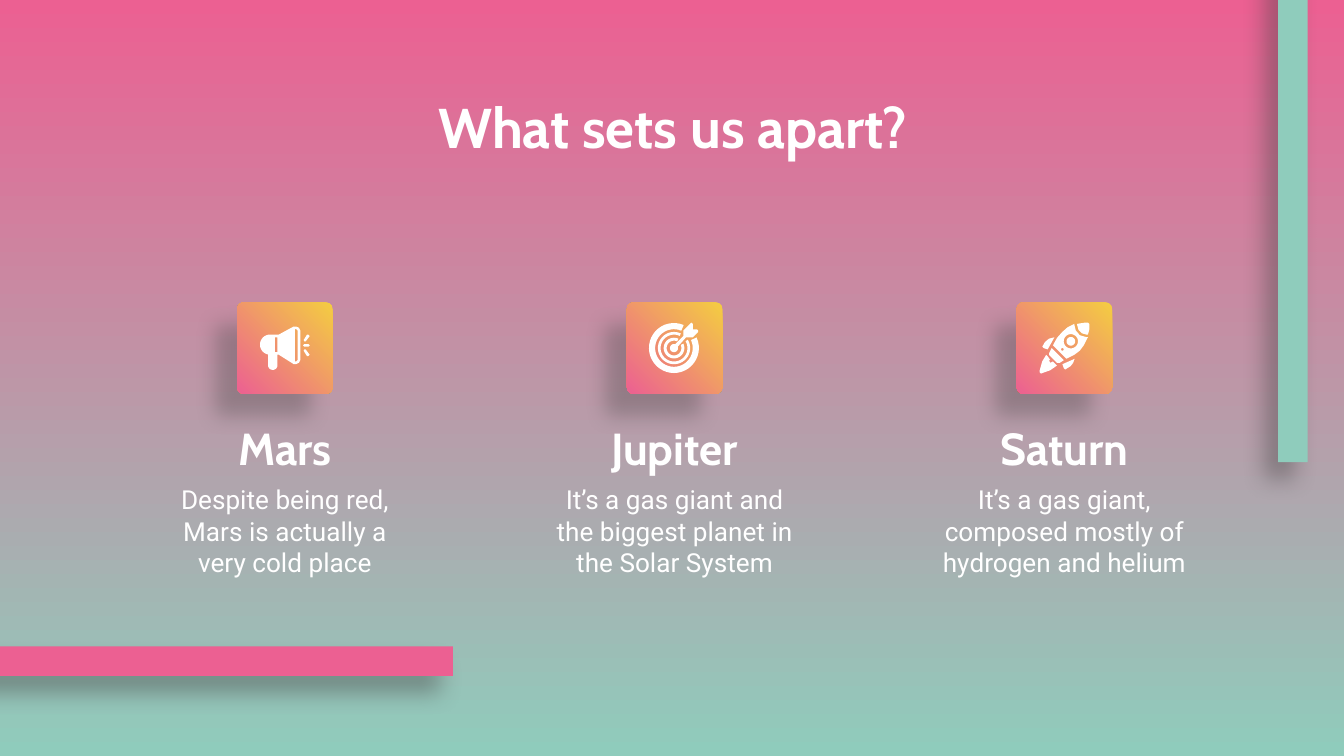
from dataclasses import dataclass
from math import cos, radians, sin

from lxml import etree
from pptx import Presentation
from pptx.dml.color import RGBColor
from pptx.enum.shapes import MSO_SHAPE
from pptx.enum.text import MSO_ANCHOR, MSO_AUTO_SIZE, PP_ALIGN
from pptx.oxml.ns import qn
from pptx.util import Inches, Pt

RECT, ROUND = MSO_SHAPE.RECTANGLE, MSO_SHAPE.ROUNDED_RECTANGLE
TOP, CENTER, FIXED = MSO_ANCHOR.TOP, PP_ALIGN.CENTER, MSO_AUTO_SIZE.NONE

COLORS = {"pink": "EC6092", "mint": "8FCCBC", "gold": "F4CD41",
          "white": "FFFFFF", "shade": "434343"}
HEAD, BODY = "Cabin", "Roboto"

# Grid: three columns around a middle one, three rows, on a 16:9 slide
WIDE = 10
HIGH = WIDE * 9 / 16
MID, STEP = 5.02, 2.9
TILE_W, TILE_H, TEXT_W = 0.71, 0.68, 2.03
TILE_Y, NAME_Y, NOTE_Y = 2.25, 3.03, 3.5

Loop = list[tuple[float, float]]
Part = list[Loop]  # an outline, then its holes


@dataclass
class Shade:
    alpha: int
    blur: float
    dist: float
    angle: int


@dataclass
class Bar:
    box: tuple[float, float, float, float]
    color: str


@dataclass
class Planet:
    name: str
    note: str
    icon: list[Part]


def arc(x: float, y: float, r: float, start: int = 0, end: int = 360) -> Loop:
    """Points along a circle, in hundredths of an inch."""
    n = 36
    turns = [radians(start + (end - start) * i / n) for i in range(n + 1)]
    return [(x + r * cos(t), y + r * sin(t)) for t in turns]


def band(outer: float, inner: float, start: int, end: int) -> Part:
    """Open ring of the target."""
    return [arc(35, 34, outer, start, end) + arc(35, 34, inner, end, start)]


# Icons, in hundredths of an inch from the tile's corner
def horn() -> list[Part]:
    ray = [(53, 24), (54, 25), (51, 29), (50, 29), (49.5, 28), (52, 24)]
    body = ([(42, 18), (31, 24)] + arc(24.5, 31.5, 7.5, 270, 90)
            + [(23, 39), (23, 47)] + arc(26.5, 46.8, 3.5, 180, 0)
            + [(30, 39), (31, 39), (42, 46), (44, 46), (46, 45), (47, 43),
               (47, 21), (46, 19), (44, 18)])
    slot = [(30, 26), (30, 37), (28, 37), (28, 26)]
    rim = [(43, 20), (44, 20), (45, 21), (45, 43), (44, 44), (43, 44)]
    return [[[(50, 31), (53, 31), (54, 32), (53, 33), (50, 33), (49, 32)]],
            [ray], [[(x, 64 - y) for x, y in ray]], [body, slot, rim]]


def target() -> list[Part]:
    dart = ([(48, 15), (47, 16), (42, 21), (42, 25), (36, 31)]
            + arc(35, 34, 3, 290, -20)
            + [(44, 26), (48, 26), (49, 26), (53, 22), (53, 21), (52, 20),
               (49, 20), (49, 16)])
    return [band(12, 10, -31, 295), band(7.7, 5.5, -25, 295),
            band(18.6, 14, -25, 293), [dart]]


def rocket() -> list[Part]:
    hull = [(43, 16), (38, 18.5), (34, 22), (30, 26.5), (27, 32), (37, 42),
            (43, 39), (47, 36), (50, 32), (53, 26), (52, 26), (47, 24.5),
            (44, 21), (43, 17)]
    nose = [(51, 15), (45, 16), (45, 17), (46, 20.5), (48.5, 23), (52, 24),
            (53, 24), (54, 20), (54, 16), (53, 15)]
    base = [(26, 34), (24, 38), (24, 39), (30, 45), (32, 45), (35, 43)]
    low = [(43, 42), (34, 46), (35, 49), (36, 50), (40, 47.5), (42, 45)]
    left = [(28, 26), (24, 27), (21, 29.5), (19, 33), (20, 34), (23, 35)]
    flame = [(22, 39), (19, 44), (17, 51), (17, 52), (18, 53), (25, 50.5),
             (30, 47), (27, 44), (25, 45), (24, 43), (25, 43), (23, 40)]
    return [[hull, arc(40.3, 29, 5.3), arc(34, 35, 1)], [nose],
            [arc(40.3, 29, 3.2)], [base], [low], [left], [flame]]


def rgb(key: str) -> RGBColor:
    return RGBColor.from_string(COLORS[key])


def blend(fill, first: str, last: str, angle: int) -> None:
    fill.gradient()
    fill.gradient_angle = angle
    for stop, key in zip(fill.gradient_stops, (first, last)):
        stop.color.rgb = rgb(key)


def plain(shape, color: str) -> None:
    shape.shadow.inherit = False
    shape.fill.solid()
    shape.fill.fore_color.rgb = rgb(color)
    shape.line.fill.background()


def cast(shape, shade: Shade) -> None:
    """Put a soft shadow on a plain shape."""
    root = shape._element.spPr.find(qn("a:effectLst"))
    drop = etree.SubElement(
        root, qn("a:outerShdw"), blurRad=str(Pt(shade.blur)),
        dist=str(Pt(shade.dist)), dir=str(shade.angle * 60000),
        algn="bl", rotWithShape="0")
    tint = etree.SubElement(drop, qn("a:srgbClr"), val=COLORS["shade"])
    etree.SubElement(tint, qn("a:alpha"), val=str(shade.alpha * 1000))


def write(box, text: str, font: str, size: int, bold: bool) -> None:
    frame = box.text_frame
    frame.text = text
    frame.word_wrap, frame.auto_size = True, FIXED
    frame.vertical_anchor = TOP
    frame.margin_left = frame.margin_right = Inches(0.1)
    frame.margin_top = frame.margin_bottom = Inches(0.1)
    para = frame.paragraphs[0]
    para.alignment = CENTER
    para.font.name, para.font.size, para.font.bold = font, Pt(size), bold
    para.font.color.rgb = rgb("white")


def draw_icon(slide, icon: list[Part], left: float, top: float) -> None:
    group = slide.shapes.add_group_shape()
    for part in icon:
        loops = [[(Inches(left + x / 100), Inches(top + y / 100))
                  for x, y in loop] for loop in part]
        pen = group.shapes.build_freeform(*loops[0][0])
        for i, loop in enumerate(loops):
            if i:
                pen.move_to(*loop[0])
            pen.add_line_segments(loop[1:], close=True)
        plain(pen.convert_to_shape(), "white")


def draw_planet(slide, planet: Planet, mid: float) -> None:
    left = mid - TILE_W / 2
    tile = slide.shapes.add_shape(ROUND, Inches(left), Inches(TILE_Y),
                                  Inches(TILE_W), Inches(TILE_H))
    plain(tile, "gold")
    tile.adjustments[0] = 0.07
    blend(tile.fill, "gold", "pink", 225)
    cast(tile, Shade(32, 11.2, 16.5, 135))
    draw_icon(slide, planet.icon, left, TILE_Y)
    for text, y, high, font, size, bold in (
            (planet.name, NAME_Y, 0.46, HEAD, 24, True),
            (planet.note, NOTE_Y, 0.76, BODY, 14, False)):
        box = slide.shapes.add_textbox(Inches(mid - TEXT_W / 2), Inches(y),
                                       Inches(TEXT_W), Inches(high))
        write(box, text, font, size, bold)


def main() -> None:
    deck = Presentation()
    deck.slide_width, deck.slide_height = Inches(WIDE), Inches(HIGH)
    slide = deck.slides.add_slide(deck.slide_layouts[5])
    blend(slide.background.fill, "pink", "mint", 270)

    # Edge bars
    for bar in (Bar((9.51, -0.36, 0.22, 3.8), "mint"),
                Bar((-0.43, 4.81, 3.8, 0.22), "pink")):
        shape = slide.shapes.add_shape(RECT, *map(Inches, bar.box))
        plain(shape, bar.color)
        cast(shape, Shade(43, 12.4, 11.2, 129))

    # Title
    title = slide.shapes.title
    title.left, title.top = Inches(0.79), Inches(0.59)
    title.width, title.height = Inches(8.43), Inches(0.52)
    write(title, "What sets us apart?", HEAD, 30, True)

    # Planets
    planets = (
        Planet("Mars", "Despite being red, Mars is actually a very cold place",
               horn()),
        Planet("Jupiter", "It’s a gas giant and the biggest planet in the "
               "Solar System", target()),
        Planet("Saturn", "It’s a gas giant, composed mostly of hydrogen and "
               "helium", rocket()))
    for i, planet in enumerate(planets):
        draw_planet(slide, planet, MID + (i - 1) * STEP)

    deck.save("out.pptx")


if __name__ == "__main__":
    main()
